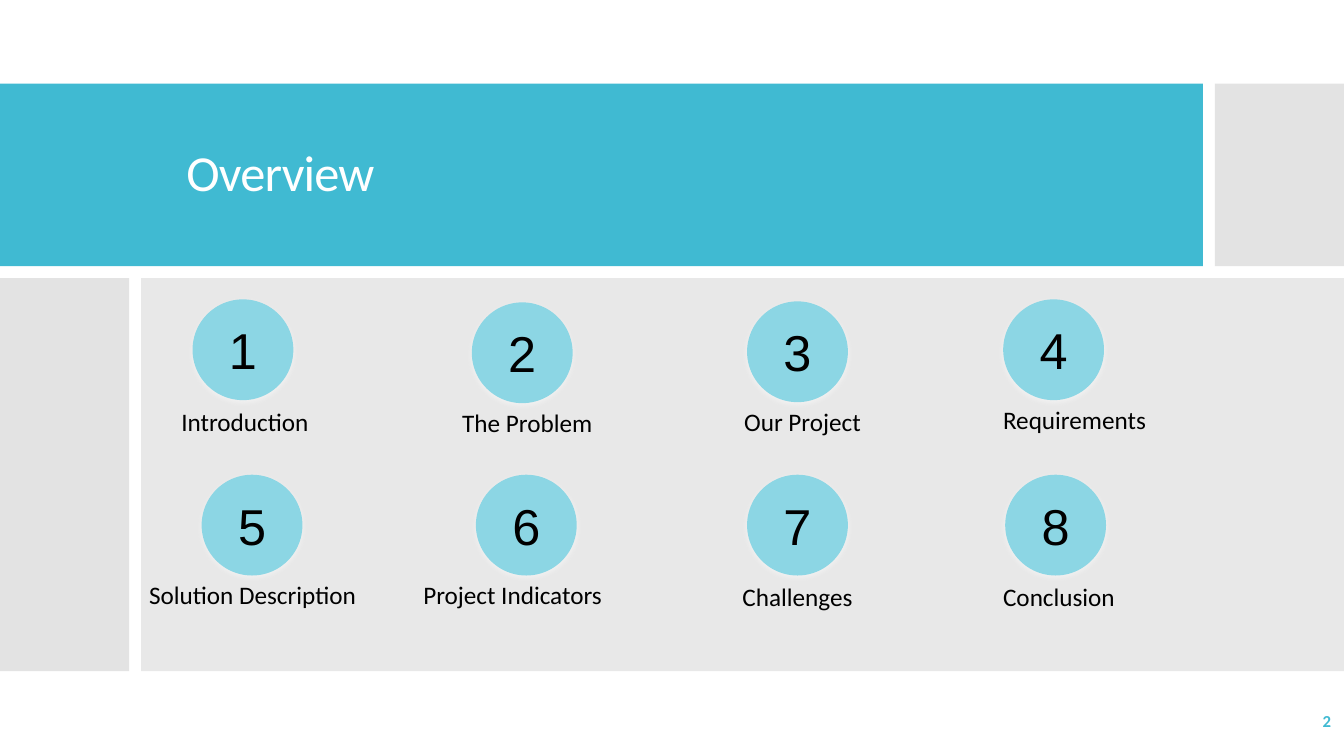
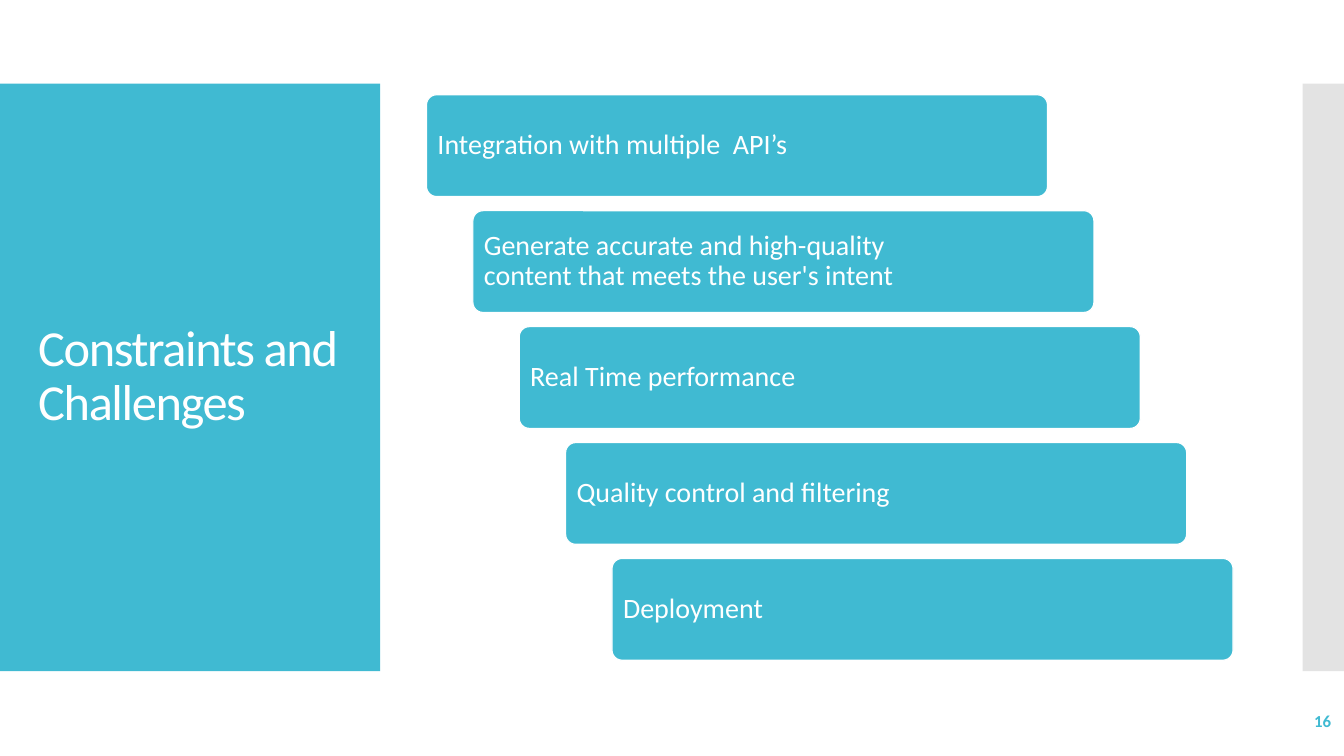
from dataclasses import dataclass

from lxml.etree import SubElement
from pptx import Presentation
from pptx.dml.color import RGBColor
from pptx.enum.shapes import MSO_SHAPE
from pptx.enum.text import MSO_ANCHOR, PP_ALIGN
from pptx.oxml.ns import qn
from pptx.shapes.autoshape import Shape
from pptx.slide import Slide
from pptx.util import Inches, Pt

TEAL = RGBColor(0x40, 0xBA, 0xD2)
AQUA = RGBColor(0x8C, 0xD6, 0xE4)
GREY = RGBColor(0xC8, 0xC8, 0xC8)
PALE = RGBColor(0xD9, 0xD9, 0xD9)
WHITE = RGBColor(0xFF, 0xFF, 0xFF)
BLACK = RGBColor(0x00, 0x00, 0x00)
BODY = "Calibri"
DIGIT = "Arial"

# Shared bands
BAND_TOP = 0.83
BAND_H = 5.83


@dataclass(frozen=True)
class Box:
    left: float
    top: float
    width: float
    height: float

    def lengths(self) -> tuple:
        return tuple(Inches(n) for n in (self.left, self.top, self.width, self.height))


@dataclass(frozen=True)
class Font:
    size: float
    color: RGBColor
    name: str = BODY
    bold: bool = False


@dataclass(frozen=True)
class Topic:
    text: str
    disc: tuple[float, float]
    label: Box
    align: PP_ALIGN = PP_ALIGN.LEFT


TITLE = Font(36, WHITE)
NUMBER = Font(36, BLACK, DIGIT)
LABEL = Font(18, BLACK)
STEP = Font(20, WHITE)
FOOTER = Font(12, TEAL, bold=True)

TOPICS = [
    Topic("Introduction", (1.91, 2.97), Box(1.7, 3.98, 1.59, 0.4)),
    Topic("The Problem", (4.68, 3), Box(3.98, 3.99, 2.5, 0.4), PP_ALIGN.CENTER),
    Topic("Our Project", (7.41, 2.99), Box(6.71, 3.98, 2.5, 0.4), PP_ALIGN.CENTER),
    Topic("Requirements", (9.95, 2.97), Box(9.85, 3.96, 1.73, 0.4)),
    Topic("Solution Description", (2, 4.71), Box(1.38, 5.7, 2.39, 0.4)),
    Topic("Project Indicators", (4.72, 4.71), Box(4.1, 5.7, 2.39, 0.4)),
    Topic("Challenges", (7.41, 4.71), Box(7.2, 5.72, 1.42, 0.4), PP_ALIGN.CENTER),
    Topic("Conclusion", (9.97, 4.71), Box(9.85, 5.72, 1.59, 0.4)),
]

STEPS = [
    "Integration with multiple  API’s",
    "Generate accurate and high-quality content that meets the user's intent",
    "Real Time performance",
    "Quality control and filtering",
    "Deployment",
]


def set_alpha(color, percent: int) -> None:
    SubElement(color, qn("a:alpha"), val=str(percent * 1000))


def add_shape(slide: Slide, box: Box, fill: RGBColor, alpha: int = 100,
              kind: MSO_SHAPE = MSO_SHAPE.RECTANGLE) -> Shape:
    shape = slide.shapes.add_shape(kind, *box.lengths())
    shape.shadow.inherit = False
    shape.fill.solid()
    shape.fill.fore_color.rgb = fill
    shape.line.fill.background()
    if alpha < 100:
        set_alpha(shape._element.spPr.find(f"{qn('a:solidFill')}/{qn('a:srgbClr')}"), alpha)
    return shape


def add_glow(shape: Shape) -> None:
    effects = shape._element.spPr.find(qn("a:effectLst"))
    shadow = SubElement(effects, qn("a:outerShdw"), blurRad=str(Pt(4.5)),
                        dist=str(Pt(1.5)), dir="5400000", rotWithShape="0")
    set_alpha(SubElement(shadow, qn("a:srgbClr"), val=str(WHITE)), 50)


def write(shape: Shape, text: str, font: Font, align: PP_ALIGN = PP_ALIGN.LEFT,
          anchor: MSO_ANCHOR = MSO_ANCHOR.MIDDLE) -> None:
    frame = shape.text_frame
    frame.word_wrap = True
    frame.vertical_anchor = anchor
    line = frame.paragraphs[0]
    line.text = text
    line.alignment = align
    line.font.size = Pt(font.size)
    line.font.name = font.name
    line.font.bold = font.bold
    line.font.color.rgb = font.color


def set_insets(shape: Shape, inset: float, right: float) -> None:
    frame = shape.text_frame
    frame.margin_left = frame.margin_top = frame.margin_bottom = Inches(inset)
    frame.margin_right = Inches(right)


def add_text(slide: Slide, box: Box, text: str, font: Font,
             align: PP_ALIGN = PP_ALIGN.LEFT,
             anchor: MSO_ANCHOR = MSO_ANCHOR.MIDDLE) -> Shape:
    shape = slide.shapes.add_textbox(*box.lengths())
    write(shape, text, font, align, anchor)
    return shape


def add_title(slide: Slide, box: Box, text: str, spacing: float) -> None:
    line = add_text(slide, box, text, TITLE).text_frame.paragraphs[0]
    line.line_spacing = 0.9
    line.runs[0]._r.get_or_add_rPr().set("spc", str(round(spacing * 100)))


def add_footer(slide: Slide, number: int) -> None:
    add_text(slide, Box(11.63, 6.95, 1.67, 0.4), str(number), FOOTER, PP_ALIGN.RIGHT)


def add_topic(slide: Slide, number: int, topic: Topic) -> None:
    disc = add_shape(slide, Box(*topic.disc, 1, 1), AQUA, kind=MSO_SHAPE.OVAL)
    add_glow(disc)
    set_insets(disc, 0.1, 0.1)
    write(disc, str(number), NUMBER, PP_ALIGN.CENTER)
    add_text(slide, topic.label, topic.text, LABEL, topic.align, MSO_ANCHOR.TOP)


def add_step(slide: Slide, index: int, text: str) -> None:
    box = Box(4.23 + 0.46 * index, 0.94 + 1.15 * index, 6.16, 1.01)
    step = add_shape(slide, box, TEAL, kind=MSO_SHAPE.ROUNDED_RECTANGLE)
    step.adjustments[0] = 0.1
    step.line.color.rgb = WHITE
    step.line.width = Pt(0.85)
    set_insets(step, 0.08, 1.19)
    write(step, text, STEP)
    step.text_frame.paragraphs[0].line_spacing = 0.9


def build_overview(slide: Slide) -> None:
    # Title band and panels
    add_shape(slide, Box(0, BAND_TOP, 11.93, 1.81), TEAL)
    add_shape(slide, Box(12.05, BAND_TOP, 1.28, 1.81), GREY, 50)
    add_shape(slide, Box(0, 2.76, 1.28, 3.9), GREY, 50)
    add_shape(slide, Box(1.4, 2.76, 11.93, 3.9), PALE, 60)
    add_title(slide, Box(1.75, 1.19, 9.82, 1.09), "Overview", -0.6)
    # Numbered topics
    for number, topic in enumerate(TOPICS, 1):
        add_topic(slide, number, topic)
    add_footer(slide, 2)


def build_limits(slide: Slide) -> None:
    # Title panel and edge band
    add_shape(slide, Box(0, BAND_TOP, 3.77, BAND_H), TEAL)
    add_shape(slide, Box(12.92, BAND_TOP, 0.41, BAND_H), GREY, 50)
    add_title(slide, Box(0.28, 1.23, 3.22, 5.03), "Constraints and Challenges", -1)
    # Staircase
    for index, text in enumerate(STEPS):
        add_step(slide, index, text)
    add_footer(slide, 16)


def main() -> None:
    deck = Presentation()
    deck.slide_width = Inches(13.33)
    deck.slide_height = Inches(7.5)
    for build in (build_overview, build_limits):
        build(deck.slides.add_slide(deck.slide_layouts[6]))
    deck.save("out.pptx")


if __name__ == "__main__":
    main()
